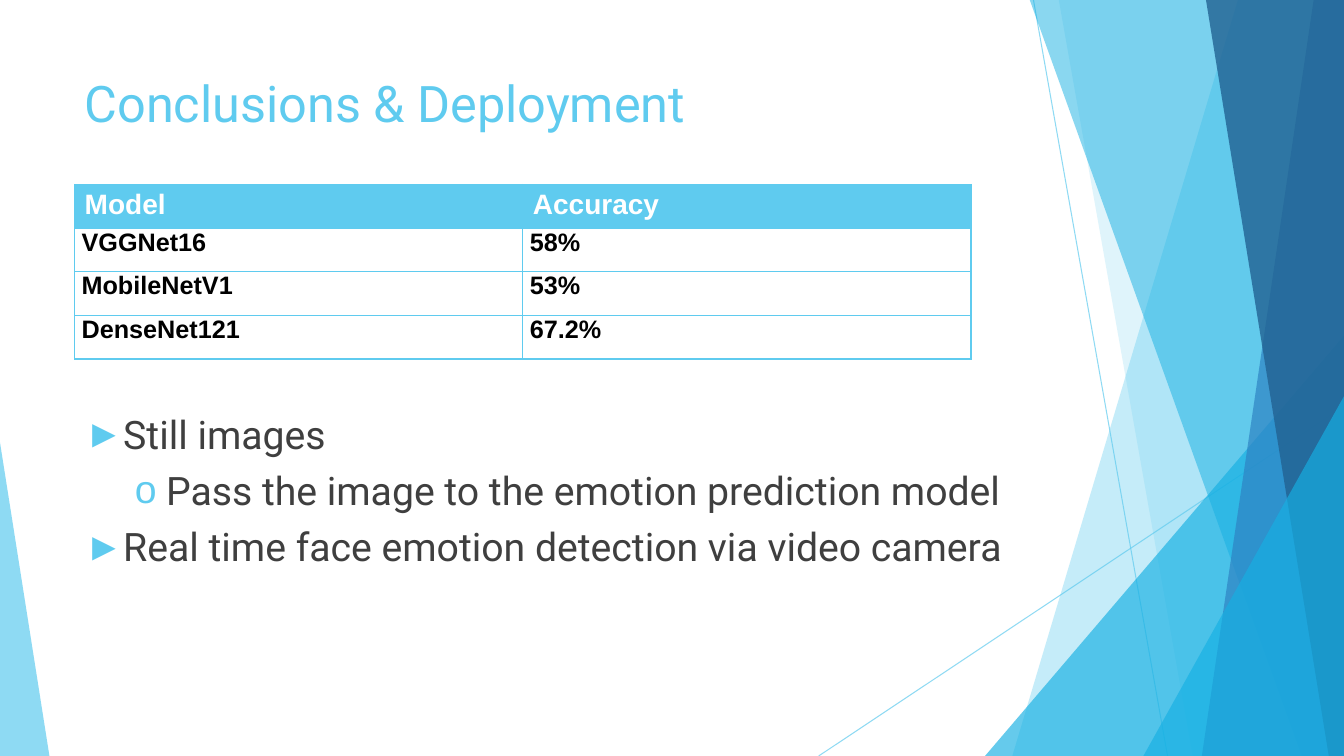
"""Build the slide on model accuracy and deployment."""
from dataclasses import dataclass

import lxml.etree
import pptx
import pptx.dml.color
import pptx.dml.fill
import pptx.enum.shapes
import pptx.enum.text
import pptx.oxml
import pptx.oxml.ns
import pptx.shapes.base
import pptx.slide
import pptx.table
import pptx.text.text
import pptx.util

Inches = pptx.util.Inches
Pt = pptx.util.Pt
qn = pptx.oxml.ns.qn

WIDTH, HEIGHT, BLEED_TOP = 13.33, 7.5, -0.01
COLORS = {
    "sky": "5FCBEF",
    "cyan": "16B0E3",
    "blue": "2E83C3",
    "navy": "226292",
    "white": "FFFFFF",
    "black": "000000",
    "text": "3F3F3F",
}


@dataclass(frozen=True)
class Ray:
    start: tuple[float, float]
    end: tuple[float, float]


@dataclass(frozen=True)
class Band:
    top_left: float
    bottom_left: float
    color: str
    opacity: int


@dataclass(frozen=True)
class Wedge:
    left: float
    top: float
    width: float
    apex: float
    color: str
    opacity: int


@dataclass(frozen=True)
class Bullet:
    text: str
    mark: str
    level: int
    margin: float
    indent: float
    space_before: int


RAYS = [Ray((10.25, 0), (11.58, HEIGHT)), Ray((WIDTH, 4.03), (8.12, HEIGHT))]
FACETS: list[Band | Wedge] = [
    Band(12.28, 10.04, "sky", 36),
    Band(10.5, 11.83, "sky", 20),
    Wedge(9.77, 3.33, 3.56, 1, "cyan", 66),
    Band(10.21, 12.91, "cyan", 50),
    Band(13.03, 11.92, "blue", 70),
    Band(11.96, 13.18, "navy", 80),
    Wedge(11.34, 3.93, 1.99, 1, "cyan", 66),
    Wedge(0, 4.39, 0.49, 0, "sky", 70),
]
RESULTS = [
    ("Model", "Accuracy"),
    ("VGGNet16", "58%"),
    ("MobileNetV1", "53%"),
    ("DenseNet121", "67.2%"),
]
BULLETS = [
    Bullet("Still images", "►", 0, 0.38, -0.38, 0),
    Bullet("Pass the image to the emotion prediction model", "o", 1, 0.81, -0.31, 10),
    Bullet("Real time face emotion detection via video camera", "►", 0, 0.38, -0.38, 10),
]


def rgb(color: str) -> pptx.dml.color.RGBColor:
    return pptx.dml.color.RGBColor.from_string(COLORS[color])


def paint(fill: pptx.dml.fill.FillFormat, element: lxml.etree._Element,
          color: str, opacity: int) -> None:
    fill.solid()
    fill.fore_color.rgb = rgb(color)
    tint = next(element.iter(qn("a:srgbClr")))
    lxml.etree.SubElement(tint, qn("a:alpha"), val=str(opacity * 1000))


def draw_ray(slide: pptx.slide.Slide, ray: Ray) -> None:
    line = slide.shapes.add_connector(
        pptx.enum.shapes.MSO_CONNECTOR.STRAIGHT,
        *(Inches(value) for value in ray.start + ray.end))
    line.line.width = Pt(0.75)
    properties = line._element.spPr
    paint(line.line.fill, properties, "sky", 70)
    lxml.etree.SubElement(properties, qn("a:effectLst"))


def draw_facet(slide: pptx.slide.Slide, facet: Band | Wedge) -> None:
    if isinstance(facet, Band):
        outline = slide.shapes.build_freeform(
            Inches(facet.top_left), Inches(BLEED_TOP), scale=1.0)
        corners = [(WIDTH, BLEED_TOP), (WIDTH, HEIGHT), (facet.bottom_left, HEIGHT)]
        outline.add_line_segments([(Inches(x), Inches(y)) for x, y in corners], close=True)
        shape = outline.convert_to_shape()
    else:
        shape = slide.shapes.add_shape(
            pptx.enum.shapes.MSO_SHAPE.ISOSCELES_TRIANGLE,
            Inches(facet.left), Inches(facet.top),
            Inches(facet.width), Inches(HEIGHT - facet.top))
        shape.adjustments[0] = facet.apex
    shape.shadow.inherit = False
    paint(shape.fill, shape._element.spPr, facet.color, facet.opacity)
    shape.line.fill.background()


def style(paragraph: pptx.text.text._Paragraph, size: int, font: str,
          color: str, bold: bool = False) -> None:
    for run in paragraph.runs:
        run.font.size = Pt(size)
        run.font.name = font
        run.font.bold = bold
        run.font.color.rgb = rgb(color)


def add_text_frame(slide: pptx.slide.Slide, top: float,
                   height: float) -> pptx.text.text.TextFrame:
    box = slide.shapes.add_textbox(Inches(0.74), Inches(top), Inches(9.4), Inches(height))
    box.text_frame.word_wrap = True
    return box.text_frame


def write_bullet(paragraph: pptx.text.text._Paragraph, bullet: Bullet) -> None:
    paragraph.text = bullet.text
    paragraph.level = bullet.level
    paragraph.line_spacing = 0.9
    if bullet.space_before:
        paragraph.space_before = Pt(bullet.space_before)
    properties = paragraph._p.get_or_add_pPr()
    properties.set("marL", str(Inches(bullet.margin)))
    properties.set("indent", str(Inches(bullet.indent)))
    mark_color = lxml.etree.SubElement(properties, qn("a:buClr"))
    lxml.etree.SubElement(mark_color, qn("a:srgbClr"), val=COLORS["sky"])
    lxml.etree.SubElement(properties, qn("a:buFont"), typeface="Arial")
    lxml.etree.SubElement(properties, qn("a:buChar"), char=bullet.mark)
    style(paragraph, 28, "Roboto", "text")


def add_borders(cell: pptx.table._Cell) -> None:
    properties = cell._tc.get_or_add_tcPr()
    for position, side in enumerate(("a:lnL", "a:lnR", "a:lnT", "a:lnB")):
        border = lxml.etree.Element(qn(side), w=str(Pt(1)))
        solid = lxml.etree.SubElement(border, qn("a:solidFill"))
        lxml.etree.SubElement(solid, qn("a:srgbClr"), val=COLORS["sky"])
        properties.insert(position, border)


def draw_results(slide: pptx.slide.Slide) -> None:
    table = slide.shapes.add_table(
        len(RESULTS), 2, Inches(0.74), Inches(1.83), Inches(8.89), Inches(1.73)).table
    table.horz_banding = False
    for row, values in enumerate(RESULTS):
        header = row == 0
        for column, value in enumerate(values):
            cell = table.cell(row, column)
            cell.text_frame.text = value
            if not header:
                cell.margin_left = cell.margin_right = Inches(0.07)
                cell.margin_top = cell.margin_bottom = 0
            cell.fill.solid()
            cell.fill.fore_color.rgb = rgb("sky" if header else "white")
            add_borders(cell)
            style(cell.text_frame.paragraphs[0], 20 if header else 18, "Arial",
                  "white" if header else "black", True)


def main() -> None:
    deck = pptx.Presentation()
    deck.slide_width, deck.slide_height = Inches(WIDTH), Inches(HEIGHT)
    slide = deck.slides.add_slide(deck.slide_layouts[6])
    for ray in RAYS:
        draw_ray(slide, ray)
    for facet in FACETS:
        draw_facet(slide, facet)

    title = add_text_frame(slide, 0.67, 1.44)
    title.text = "Conclusions & Deployment"
    style(title.paragraphs[0], 36, "Roboto", "sky")

    deployment = add_text_frame(slide, 4.07, 2.54)
    for index, bullet in enumerate(BULLETS):
        write_bullet(deployment.add_paragraph() if index else deployment.paragraphs[0], bullet)
    draw_results(slide)
    deck.save("out.pptx")


if __name__ == "__main__":
    main()
